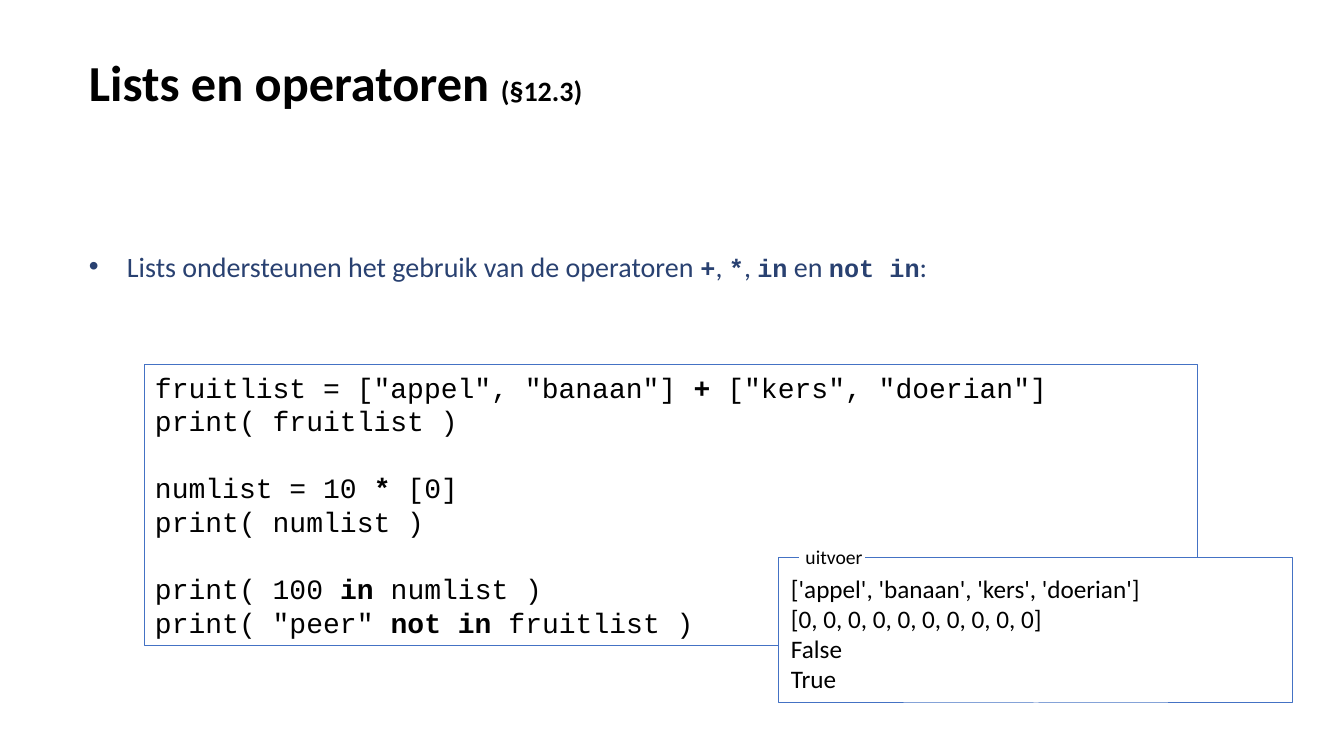
from pptx import Presentation
from pptx.dml.color import RGBColor
from pptx.enum.shapes import MSO_SHAPE
from pptx.enum.text import MSO_ANCHOR, MSO_AUTO_SIZE, PP_ALIGN
from pptx.oxml import parse_xml
from pptx.oxml.ns import nsdecls
from pptx.util import Emu, Pt

RECTANGLE = MSO_SHAPE.RECTANGLE
TOP, MIDDLE = MSO_ANCHOR.TOP, MSO_ANCHOR.MIDDLE
GROW = MSO_AUTO_SIZE.SHAPE_TO_FIT_TEXT
LEFT, CENTER = PP_ALIGN.LEFT, PP_ALIGN.CENTER

EMU_PER_PX = 914400 / 100.8
BLACK, WHITE, NAVY, BLUE = "000000", "FFFFFF", "294171", "4472C4"
SANS, MONO = "Calibri", "Courier New"

# Text between bars is bold
CODE = [
    'fruitlist = ["appel", "banaan"] |+| ["kers", "doerian"]',
    "print( fruitlist )",
    "",
    "numlist = 10 |*| [0]",
    "print( numlist )",
    "",
    "print( 100 |in |numlist )",
    'print( "peer" |not in| fruitlist )',
]
OUTPUT = [
    "['appel', 'banaan', 'kers', 'doerian']",
    "[0, 0, 0, 0, 0, 0, 0, 0, 0, 0]",
    "False",
    "True",
]
STATEMENT = "Lists ondersteunen het gebruik van de operatoren |+|, |*|, |in| en |not in|:"


def px(length):
    return Emu(round(length * EMU_PER_PX))


def color(hex_string):
    return RGBColor.from_string(hex_string)


def style(font, size, name, hex_color, bold=False):
    font.size, font.name, font.bold = Pt(size), name, bold
    font.color.rgb = color(hex_color)


def add_span(para, text, *look):
    span = para.add_run()
    span.text = text
    style(span.font, *look)


def add_marked(para, text, plain, strong):
    """Add text whose parts between bars take the strong look."""
    for index, part in enumerate(text.split("|")):
        if part:
            add_span(para, part, *(strong if index % 2 else plain))


def add_text_box(page, bounds):
    box = page.shapes.add_textbox(*map(px, bounds))
    frame = box.text_frame
    frame.word_wrap = True
    frame.vertical_anchor = MIDDLE
    return frame


def add_bullet(para, indent):
    properties = para._p.get_or_add_pPr()
    properties.set("marL", str(px(indent)))
    properties.set("indent", str(-px(indent)))
    properties.append(parse_xml(f'<a:buFont {nsdecls("a")} typeface="Arial"/>'))
    properties.append(parse_xml(f'<a:buChar {nsdecls("a")} char="•"/>'))


def add_panel(page, bounds, lines, size, font_name, fill=None, line=None,
              insets=(10, 5, 10, 5), align=LEFT):
    box = page.shapes.add_shape(RECTANGLE, *map(px, bounds))
    box.shadow.inherit = False
    if fill:
        box.fill.solid()
        box.fill.fore_color.rgb = color(fill)
    else:
        box.fill.background()
    if line:
        box.line.color.rgb = color(line)
        box.line.width = Pt(0.75)
    else:
        box.line.fill.background()

    frame = box.text_frame
    frame.word_wrap = True
    frame.auto_size = GROW
    frame.vertical_anchor = TOP
    (frame.margin_left, frame.margin_top,
     frame.margin_right, frame.margin_bottom) = map(px, insets)
    plain = (size, font_name, BLACK)
    for index, text in enumerate(lines):
        para = frame.paragraphs[0] if index == 0 else frame.add_paragraph()
        para.alignment = align
        style(para.font, *plain)
        add_marked(para, text, plain, (*plain, True))


def main():
    deck = Presentation()
    deck.slide_width, deck.slide_height = px(1344), px(756)
    page = deck.slides.add_slide(deck.slide_layouts[6])

    # Title
    title = add_text_box(page, (79, 0, 1015, 162)).paragraphs[0]
    add_span(title, "Lists en operatoren ", 36, SANS, BLACK, True)
    add_span(title, "(§12.3)", 20, SANS, BLACK, True)

    # Statement
    frame = add_text_box(page, (79, 244, 1216, 44))
    frame.auto_size = GROW
    statement = frame.paragraphs[0]
    add_bullet(statement, 38)
    style(statement.font, 20, SANS, NAVY)
    add_marked(statement, STATEMENT, (20, SANS, NAVY), (18, MONO, NAVY, True))

    # Code and its output
    add_panel(page, (145, 365, 1053, 281), CODE, 20, MONO, line=BLUE)
    add_panel(page, (779, 557, 514, 146), OUTPUT, 18, SANS, WHITE, BLUE,
              insets=(12, 16, 12, 8))
    add_panel(page, (799, 545, 66, 24), ["uitvoer"], 14, SANS, WHITE,
              insets=(4, 0, 0, 0), align=CENTER)

    deck.save("out.pptx")


if __name__ == "__main__":
    main()
